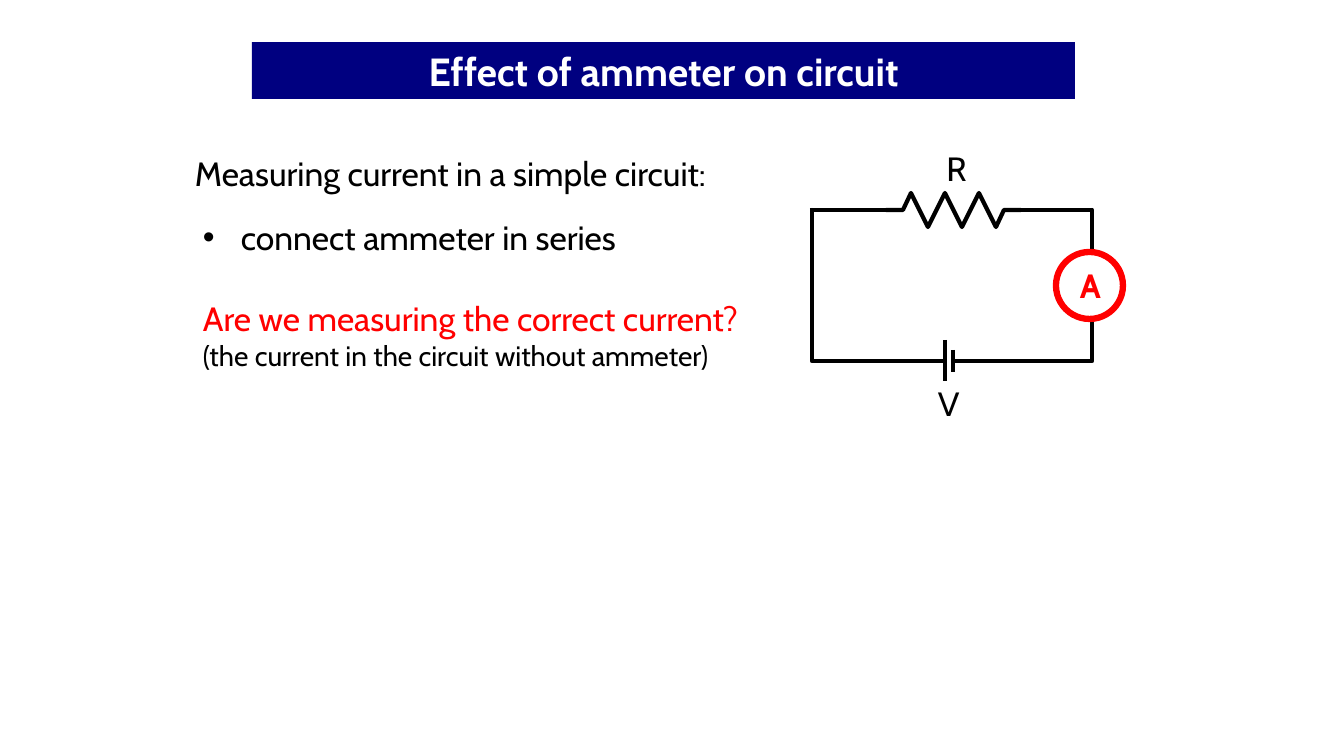
from lxml import etree
from pptx import Presentation
from pptx import util as u
from pptx.dml.color import RGBColor
from pptx.enum import shapes, text
from pptx.oxml.ns import qn

# Content: lengths in px, text sizes and line widths in points
SLIDE = (1344, 756)
EMU_PER_PX = 914400 / 100.8
FONT = "Cabin"
BLACK, WHITE, RED, NAVY = "000000", "FFFFFF", "FF0000", "000080"
LEFT, CENTER = text.PP_ALIGN.LEFT, text.PP_ALIGN.CENTER
BULLET_INDENT = 38

TITLE_BOX = (252, 42, 823, 57)
TITLE = [("Effect of ammeter on circuit", 28, WHITE, True)]
AMMETER_BOX = (1056, 252, 67, 67)

# Circuit: top and bottom wire heights, left and right wire positions
TOP, BOTTOM, WEST, EAST = 210, 361, 812, 1092
ZIGZAG = 17
RESISTOR = [(886, TOP), (903, TOP)]
RESISTOR += [(911 + ZIGZAG * i, TOP + ZIGZAG * (-1) ** (i + 1)) for i in range(6)]
RESISTOR += [(1004, TOP), (1021, TOP)]
CORNERS = [
    [(inner, BOTTOM), (side, BOTTOM), (side, TOP), (side, TOP + 11)]
    for inner, side in ((903, WEST), (1001, EAST))
]
STRAIGHT_WIRES = [
    ((945, 340), (945, 381)),  # long battery plate
    ((953, 350), (953, 372)),  # short battery plate
    ((1012, TOP), (EAST, TOP)),
    ((885, BOTTOM), (943, BOTTOM)),
    ((810, TOP), (890, TOP)),
    ((954, BOTTOM), (1012, BOTTOM)),
]

# Box, alignment, bulleted, paragraphs of (words, size, colour, bold)
LABELS = [
    ((928, 378, 40, 50), CENTER, False, [("V", 24, BLACK, False)]),
    ((936, 143, 41, 50), CENTER, False, [("R", 24, BLACK, False)]),
    ((1070, 260, 43, 50), LEFT, False, [("A", 24, RED, True)]),
    ((185, 148, 580, 51), LEFT, False,
     [("Measuring current in a simple circuit:", 24, BLACK, False)]),
    ((193, 212, 454, 51), LEFT, True,
     [("connect ammeter in series", 24, BLACK, False)]),
    ((193, 293, 597, 85), LEFT, False,
     [("Are we measuring the correct current?", 24, RED, False),
      ("(the current in the circuit without ammeter)", 20, BLACK, False)]),
]


def px(length):
    return u.Emu(round(length * EMU_PER_PX))


def color(hex_code):
    return RGBColor.from_string(hex_code)


def set_line(line, hex_code, width):
    line.color.rgb = color(hex_code)
    line.width = u.Pt(width)


def add_solid(kind, box, fill):
    solid = slide.shapes.add_shape(kind, *map(px, box))
    solid.shadow.inherit = False
    solid.fill.solid()
    solid.fill.fore_color.rgb = color(fill)
    return solid


def add_bullet(paragraph):
    props = paragraph._p.get_or_add_pPr()
    props.set("marL", str(px(BULLET_INDENT)))
    props.set("indent", str(-px(BULLET_INDENT)))
    etree.SubElement(props, qn("a:buFont")).set("typeface", "Arial")
    etree.SubElement(props, qn("a:buChar")).set("char", "•")


def write(frame, paragraphs, align, bulleted=False):
    frame.word_wrap = True
    frame.auto_size = text.MSO_AUTO_SIZE.SHAPE_TO_FIT_TEXT
    for i, (words, size, hex_code, bold) in enumerate(paragraphs):
        paragraph = frame.add_paragraph() if i else frame.paragraphs[0]
        paragraph.alignment = align
        if bulleted:
            add_bullet(paragraph)
        run = paragraph.add_run()
        run.text = words
        for key, value in {"name": FONT, "size": u.Pt(size), "bold": bold}.items():
            setattr(run.font, key, value)
        run.font.color.rgb = color(hex_code)


def add_wire(start, end):
    wire = slide.shapes.add_connector(
        shapes.MSO_CONNECTOR.STRAIGHT, *map(px, start + end))
    set_line(wire.line, BLACK, 3)
    etree.SubElement(wire._element.spPr, qn("a:effectLst"))


def add_bent_wire(points):
    builder = slide.shapes.build_freeform(*points[0], scale=EMU_PER_PX)
    builder.add_line_segments(points[1:], close=False)
    wire = builder.convert_to_shape()
    wire.shadow.inherit = False
    wire.fill.background()
    set_line(wire.line, BLACK, 3)


deck = Presentation()
deck.slide_width, deck.slide_height = map(px, SLIDE)
slide = deck.slides.add_slide(deck.slide_layouts[6])

# Title bar
title = add_solid(shapes.MSO_SHAPE.RECTANGLE, TITLE_BOX, NAVY)
title.line.fill.background()
write(title.text_frame, TITLE, CENTER)

# Circuit
for start, end in STRAIGHT_WIRES:
    add_wire(start, end)
for points in [RESISTOR, *CORNERS]:
    add_bent_wire(points)
ammeter = add_solid(shapes.MSO_SHAPE.OVAL, AMMETER_BOX, WHITE)
set_line(ammeter.line, RED, 4.5)

# Circuit labels and running text
for box, align, bulleted, paragraphs in LABELS:
    label = slide.shapes.add_textbox(*map(px, box))
    write(label.text_frame, paragraphs, align, bulleted)

deck.save("out.pptx")
